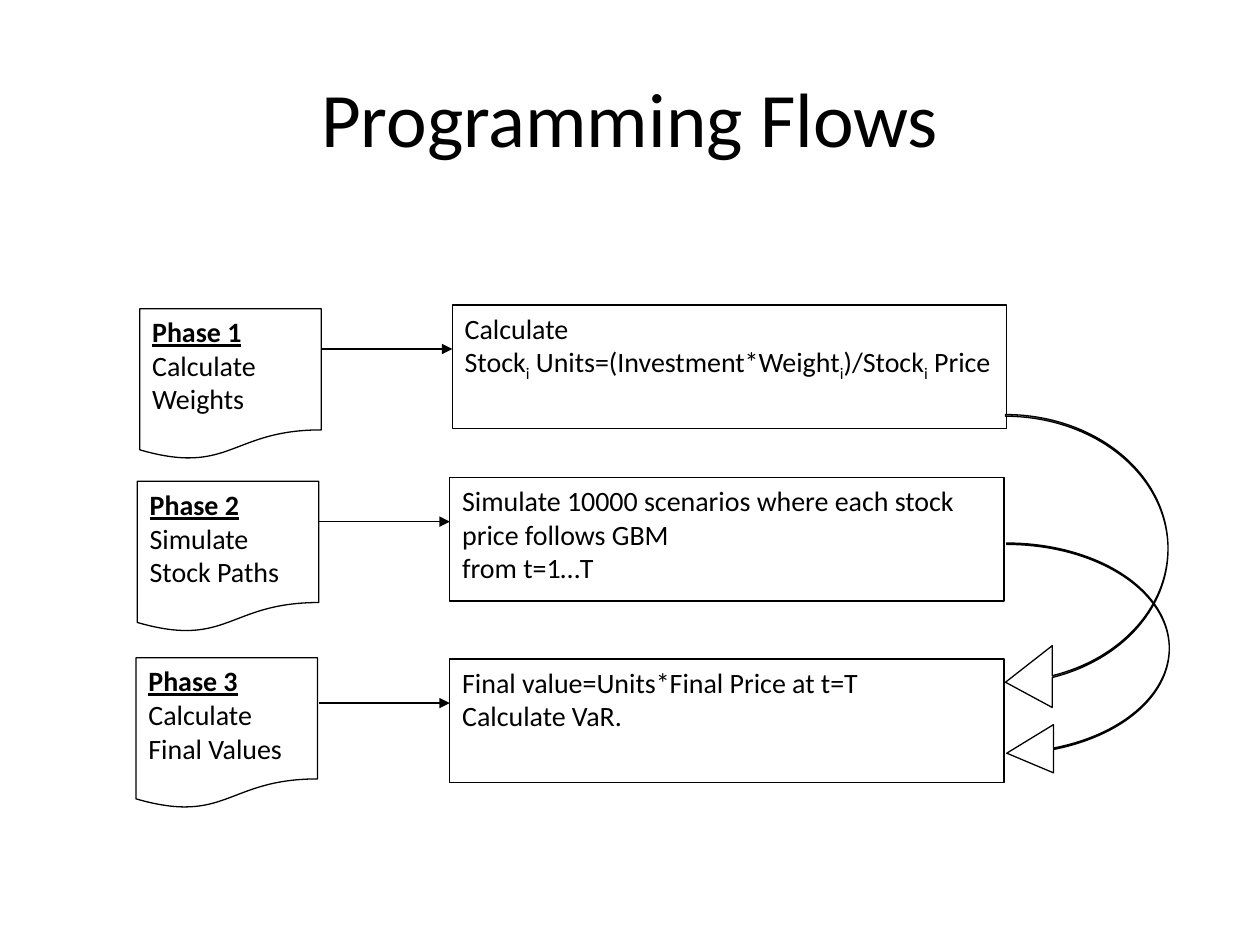
from pptx import Presentation
from pptx.dml.color import RGBColor
from pptx.enum import shapes, text
from pptx.oxml import parse_xml
from pptx.oxml.ns import nsdecls
from pptx.util import Inches, Pt

COLORS = {"ink": "000000", "paper": "FFFFFF"}
FONT = "Calibri"

# Phase name, phase task, step text (~ marks a subscript), phase corner, step corner, arrow height
PHASES = [
    ("Phase 1", "Calculate\nWeights",
     "Calculate\nStock~i~ Units=(Investment*Weight~i~)/Stock~i~ Price",
     (1.11, 2.45), (3.59, 2.42), 2.77),
    ("Phase 2", "Simulate\nStock Paths",
     "Simulate 10000 scenarios where each stock price follows GBM\nfrom t=1…T",
     (1.09, 3.82), (3.57, 3.79), 4.14),
    ("Phase 3", "Calculate\nFinal Values",
     "Final value=Units*Final Price at t=T\nCalculate VaR.",
     (1.08, 5.22), (3.57, 5.23), 5.58),
]
PHASE_SIZE = (1.44, 1.2)
STEP_SIZE = (4.4, 0.98)
ARROW_LENGTH = 1.04

# Corner, size, adjustments
RETURN_ARROWS = [
    ((7.99, 4.31), (1.29, 1.86), (0.009, 0.297, 0.288)),
    ((7.98, 3.29), (1.29, 2.37), (0.011, 0.38, 0.288)),
]


def color(name):
    return RGBColor.from_string(COLORS[name])


def set_font(font, size):
    font.name = FONT
    font.size = Pt(size)
    font.color.rgb = color("ink")


def add_outlined(slide, kind, corner, size):
    shape = slide.shapes.add_shape(kind, *map(Inches, corner + size))
    shape.shadow.inherit = False
    shape.fill.solid()
    shape.fill.fore_color.rgb = color("paper")
    shape.line.color.rgb = color("ink")
    shape.line.width = Pt(0.75)
    return shape


def start_paragraph(shape):
    frame = shape.text_frame
    frame.word_wrap = True
    frame.vertical_anchor = text.MSO_ANCHOR.TOP
    para = frame.paragraphs[0]
    para.alignment = text.PP_ALIGN.LEFT
    para.space_after = Pt(10)
    set_font(para.font, 16)
    return para


def add_span(para, words):
    span = para.add_run()
    span.text = words
    return span


def add_lines(para, words):
    """Add text line by line, with every second ~ part as a subscript."""
    for number, line in enumerate(words.split("\n")):
        if number:
            para.add_line_break()
        for part, piece in enumerate(line.split("~")):
            span = add_span(para, piece)
            if part % 2:
                span.font._element.set("baseline", "-25000")


def add_phase(slide, name, task, corner):
    box = add_outlined(slide, shapes.MSO_SHAPE.FLOWCHART_DOCUMENT, corner, PHASE_SIZE)
    para = start_paragraph(box)
    heading = add_span(para, name)
    heading.font.bold = True
    heading.font.underline = True
    para.add_line_break()
    add_lines(para, task)


def add_step(slide, words, corner):
    box = add_outlined(slide, shapes.MSO_SHAPE.RECTANGLE, corner, STEP_SIZE)
    add_lines(start_paragraph(box), words)


def add_arrow(slide, end, y):
    arrow = slide.shapes.add_connector(
        shapes.MSO_CONNECTOR.STRAIGHT,
        Inches(end - ARROW_LENGTH), Inches(y), Inches(end), Inches(y))
    arrow.line.color.rgb = color("ink")
    arrow.line.width = Pt(0.75)
    arrow.line._get_or_add_ln().append(
        parse_xml(f'<a:tailEnd {nsdecls("a")} type="triangle"/>'))
    arrow._element.spPr.append(parse_xml(f'<a:effectLst {nsdecls("a")}/>'))


def add_return_arrow(slide, corner, size, adjustments):
    arrow = add_outlined(slide, shapes.MSO_SHAPE.CURVED_LEFT_ARROW, corner, size)
    for index, value in enumerate(adjustments):
        arrow.adjustments[index] = value


def add_title(slide, words):
    title = slide.shapes.title
    title.left, title.top, title.width, title.height = map(Inches, (0.5, 0.3, 9, 1.25))
    title.text_frame.text = words
    title.text_frame.vertical_anchor = text.MSO_ANCHOR.MIDDLE
    para = title.text_frame.paragraphs[0]
    para.alignment = text.PP_ALIGN.CENTER
    set_font(para.font, 44)


def main():
    deck = Presentation()
    deck.slide_width, deck.slide_height = Inches(10), Inches(7.5)
    page = deck.slides.add_slide(deck.slide_layouts[5])
    add_title(page, "Programming Flows")

    # One row per phase: document, arrow, step
    for name, task, words, phase_corner, step_corner, arrow_y in PHASES:
        add_phase(page, name, task, phase_corner)
        add_arrow(page, step_corner[0], arrow_y)
        add_step(page, words, step_corner)

    # Curved arrows into the last step
    for corner, size, adjustments in RETURN_ARROWS:
        add_return_arrow(page, corner, size, adjustments)

    deck.save("out.pptx")


if __name__ == "__main__":
    main()
